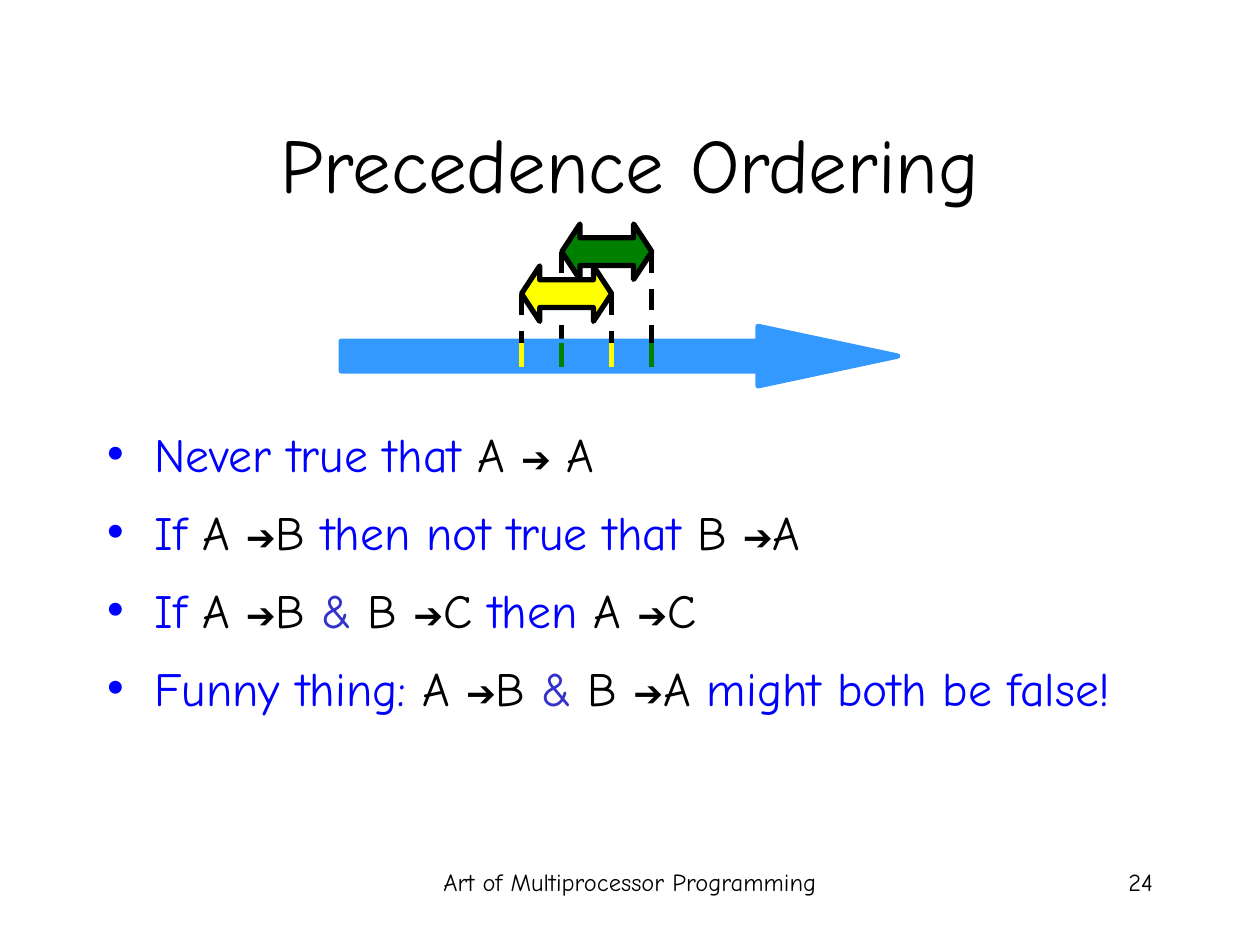
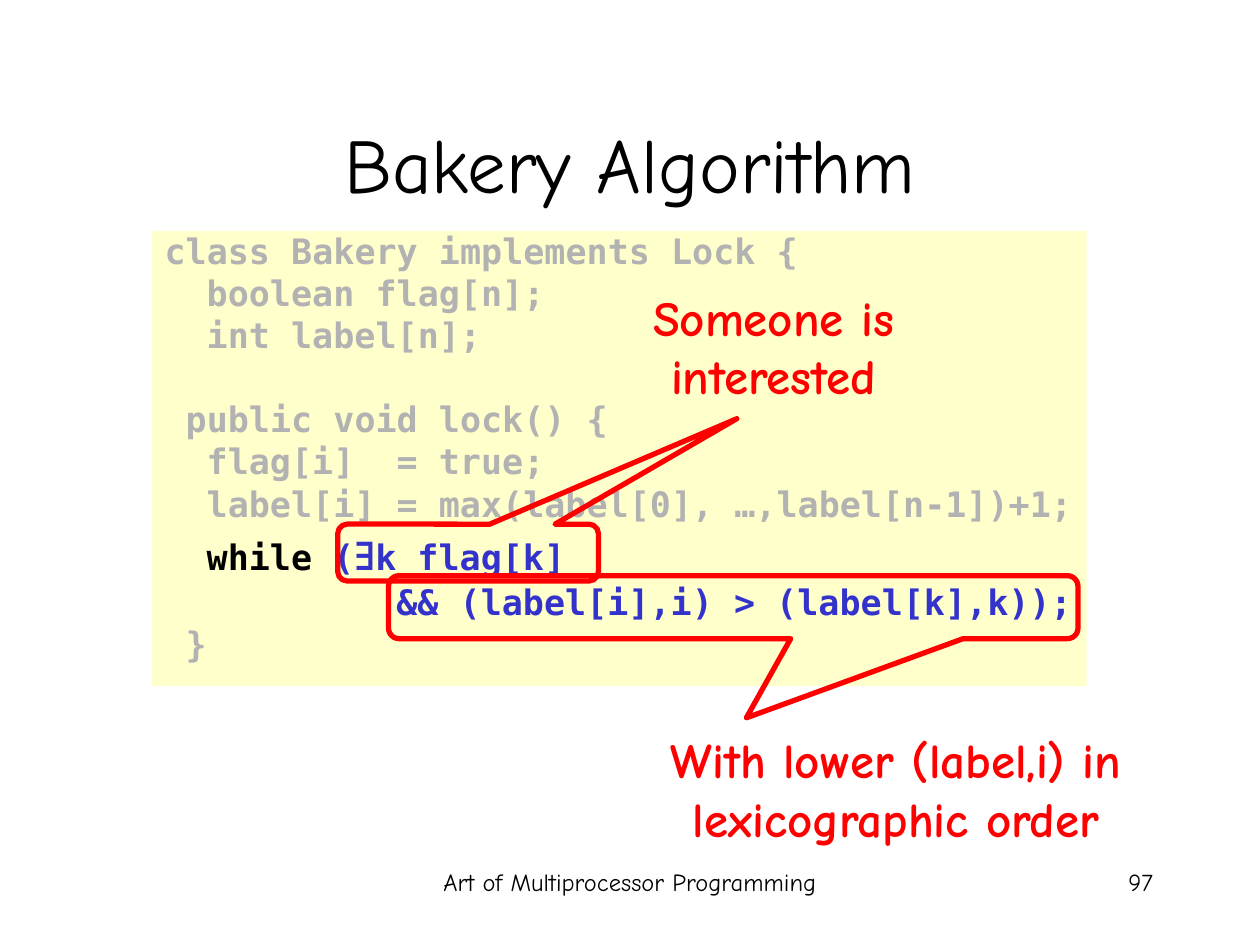
from lxml import etree
from pptx import Presentation
from pptx.dml.color import RGBColor
from pptx.enum.dml import MSO_LINE
from pptx.enum.shapes import MSO_CONNECTOR, MSO_SHAPE
from pptx.enum.text import MSO_ANCHOR, MSO_AUTO_SIZE, PP_ALIGN
from pptx.oxml.ns import qn
from pptx.util import Pt

STRAIGHT = MSO_CONNECTOR.STRAIGHT
DASH = MSO_LINE.DASH
RIGHT_ARROW = MSO_SHAPE.RIGHT_ARROW
DOUBLE_ARROW = MSO_SHAPE.LEFT_RIGHT_ARROW
RECTANGLE = MSO_SHAPE.RECTANGLE
CALLOUT = MSO_SHAPE.ROUNDED_RECTANGULAR_CALLOUT
LEFT, CENTER, RIGHT = PP_ALIGN.LEFT, PP_ALIGN.CENTER, PP_ALIGN.RIGHT
TOP, MIDDLE = MSO_ANCHOR.TOP, MSO_ANCHOR.MIDDLE
NO_AUTOFIT = MSO_AUTO_SIZE.NONE

BLACK = RGBColor(0x00, 0x00, 0x00)
BLUE = RGBColor(0x00, 0x00, 0xFF)
INDIGO = RGBColor(0x33, 0x33, 0xCC)
SKY = RGBColor(0x33, 0x99, 0xFF)
YELLOW = RGBColor(0xFF, 0xFF, 0x00)
GREEN = RGBColor(0x00, 0x80, 0x00)
RED = RGBColor(0xFF, 0x00, 0x00)
GRAY = RGBColor(0xB2, 0xB2, 0xB2)
CREAM = RGBColor(0xFF, 0xFF, 0xCC)

HAND_FONT, CODE_FONT, SYMBOL_FONT = "Comic Neue", "DejaVu Sans Mono", "Arial"
SYMBOLS = {"➔": 20.4, "∃": 28}
STROKE = 3
CODE_CHAR = 12.04
CODE_GAP, CODE_BLANK = 5, 23.6

TITLE_BOX = (54, 48, 612, 90)
FOOTER_BOX = (246, 492, 228, 36)
NUMBER_BOX = (516, 492, 150, 36)
TIMELINE_BOX = (195, 128, 318, 92.5)
STATEMENTS_BOX = (54, 239, 612, 222)
CODE_BOX = (87, 132, 534, 260)

STATEMENTS = [
    [("Never true that ", BLUE), ("A ➔ A", BLACK)],
    [("If ", BLUE), ("A ➔B ", BLACK), ("then not true that ", BLUE), ("B ➔A", BLACK)],
    [("If ", BLUE), ("A ➔B ", BLACK), ("& ", INDIGO), ("B ➔C ", BLACK),
     ("then ", BLUE), ("A ➔C", BLACK)],
    [("Funny thing: ", BLUE), ("A ➔B ", BLACK), ("& ", INDIGO), ("B ➔A ", BLACK),
     ("might both be false!", BLUE)],
]

CODE_LINES = [
    (0, CODE_GAP, [("class Bakery implements Lock {", GRAY)]),
    (2, CODE_GAP, [("boolean flag[n];", GRAY)]),
    (2, CODE_GAP, [("int label[n];", GRAY)]),
    (1, 2 * CODE_GAP + CODE_BLANK - 5, [("public void lock() {", GRAY)]),
    (2, CODE_GAP, [("flag[i]  = true;", GRAY)]),
    (2, CODE_GAP, [("label[i] = max(label[0], …,label[n-1])+1;", GRAY)]),
    (2, CODE_GAP, [("while", BLACK), (" (∃k flag[k]", INDIGO)]),
    (11, CODE_GAP, [("&& (label[i],i) > (label[k],k));", INDIGO)]),
    (1, CODE_GAP, [("}", GRAY)]),
]

REMARKS = [
    ("Someone is interested", (193, 299.5, 149, 32.5), (1.031, -2.354, 0.167),
     (121, -139, 256, 75)),
    ("With lower (label,i) in lexicographic order", (222, 329, 394, 36),
     (0.019, 1.757, 0.167), (133, 84.5, 314, 75)),
]


def points(*lengths):
    """Convert numbers to point lengths."""
    return [Pt(length) for length in lengths]


def style_font(font, name, size, color, bold=False):
    """Set typeface, size, colour and weight."""
    font.name, font.size, font.bold = name, Pt(size), bold
    font.color.rgb = color


def split_symbols(text):
    """Yield the stretches of text between symbols, and the symbols."""
    for symbol in SYMBOLS:
        before, found, after = text.partition(symbol)
        if found:
            yield from (part for part in (before, found, after) if part)
            return
    yield text


def write_phrases(paragraph, phrases, name, size, bold=False):
    """Write coloured phrases, giving symbols their own font and size."""
    parts = [(part, color) for text, color in phrases for part in split_symbols(text)]
    if len(parts) == 1:
        paragraph.text = parts[0][0]
        style_font(paragraph.font, name, size, parts[0][1], bold)
        return
    for text, color in parts:
        run = paragraph.add_run()
        run.text = text
        is_symbol = text in SYMBOLS
        style_font(run.font, SYMBOL_FONT if is_symbol else name,
                   SYMBOLS.get(text, size), color, bold)


def set_indent(paragraph, margin, first_line=0):
    """Set the left margin and first-line indent, and return the properties."""
    properties = paragraph._p.get_or_add_pPr()
    properties.set("marL", str(Pt(margin)))
    properties.set("indent", str(Pt(first_line)))
    return properties


def add_label(slide, box, text, size, color, align, bold=False):
    """Add a wrapped one-paragraph text box."""
    frame = slide.shapes.add_textbox(*points(*box)).text_frame
    frame.word_wrap = True
    frame.paragraphs[0].alignment = align
    write_phrases(frame.paragraphs[0], [(text, color)], HAND_FONT, size, bold)


def add_outlined(slide, preset, box, fill, stroke, adjustments=()):
    """Add a flat preset shape; None leaves out its fill or line."""
    shape = slide.shapes.add_shape(preset, *points(*box))
    shape.shadow.inherit = False
    for paint, color in ((shape.fill, fill), (shape.line.fill, stroke)):
        if color is None:
            paint.background()
        else:
            paint.solid()
            paint.fore_color.rgb = color
    if stroke is not None:
        shape.line.width = Pt(STROKE)
    for index, value in enumerate(adjustments):
        shape.adjustments[index] = value
    return shape


def place_placeholder(placeholder, box, anchor):
    """Move a placeholder to its box and return its text frame."""
    placeholder.left, placeholder.top, placeholder.width, placeholder.height = points(*box)
    frame = placeholder.text_frame
    frame.auto_size = NO_AUTOFIT
    frame.word_wrap = True
    frame.vertical_anchor = anchor
    return frame


def start_slide(deck, layout_index, title, number):
    """Add a slide with the shared title and footer."""
    slide = deck.slides.add_slide(deck.slide_layouts[layout_index])
    heading = place_placeholder(slide.shapes.title, TITLE_BOX, MIDDLE).paragraphs[0]
    heading.alignment = CENTER
    write_phrases(heading, [(title, BLACK)], HAND_FONT, 44)
    add_label(slide, FOOTER_BOX, "Art of Multiprocessor Programming", 14, BLACK, CENTER)
    add_label(slide, NUMBER_BOX, str(number), 14, BLACK, RIGHT)
    return slide


def add_upright(slide, x, top, bottom, color, dashed=False):
    """Add a vertical line."""
    upright = slide.shapes.add_connector(STRAIGHT, *points(x, top, x, bottom))
    upright.line.color.rgb = color
    upright.line.width = Pt(STROKE)
    if dashed:
        upright.line.dash_style = DASH
    etree.SubElement(upright._element.spPr, qn("a:effectLst"))


def draw_timeline(slide, box):
    """Draw two overlapping intervals marked on a time arrow."""
    left, top, width, _ = box
    interval_width, interval_height = 51.5, 31.7
    tick_top, tick_bottom = top + 68, top + 82
    yellow_left, green_left = left + 103, left + 126
    yellow_top, green_top = top + 24, top
    green_middle = green_top + interval_height / 2
    yellow_middle = yellow_top + interval_height / 2
    green_right, yellow_right = green_left + interval_width, yellow_left + interval_width

    add_upright(slide, green_left, green_middle, tick_bottom, BLACK, dashed=True)
    add_outlined(slide, RIGHT_ARROW, (left, top + 58.5, width, 34), SKY, SKY, (0.5, 2.347))
    for x in (yellow_left, yellow_right):
        add_upright(slide, x, yellow_middle, tick_top, BLACK, dashed=True)
    add_upright(slide, green_right, green_middle, tick_bottom, BLACK, dashed=True)
    for x, y, color in ((yellow_left, yellow_top, YELLOW), (green_left, green_top, GREEN)):
        add_outlined(slide, DOUBLE_ARROW, (x, y, interval_width, interval_height),
                     color, BLACK, (0.5, 0.329))
        for edge in (x, x + interval_width):
            add_upright(slide, edge, tick_top, tick_bottom, color)


def write_statements(slide, box):
    """Fill the body placeholder with the bulleted statements."""
    frame = place_placeholder(slide.placeholders[1], box, TOP)
    for index, phrases in enumerate(STATEMENTS):
        statement = frame.add_paragraph() if index else frame.paragraphs[0]
        statement.space_before = Pt(12)
        write_phrases(statement, phrases, HAND_FONT, 27.2)
        properties = set_indent(statement, 27, -27)
        bullet_color = etree.SubElement(properties, qn("a:buClr"))
        etree.SubElement(bullet_color, qn("a:srgbClr"), val=str(BLUE))
        etree.SubElement(properties, qn("a:buChar"), char="•")


def write_code(slide, box):
    """Add the code panel."""
    frame = add_outlined(slide, RECTANGLE, box, CREAM, None).text_frame
    frame.word_wrap = True
    frame.vertical_anchor = TOP
    frame.margin_right = 0
    for index, (indent, gap, phrases) in enumerate(CODE_LINES):
        line = frame.add_paragraph() if index else frame.paragraphs[0]
        line.alignment = LEFT
        line.line_spacing = 0.8
        line.space_before = Pt(gap)
        set_indent(line, indent * CODE_CHAR)
        write_phrases(line, phrases, CODE_FONT, 20, bold=True)


def add_remark(slide, box, text, adjustments, label_offset):
    """Ring a piece of code with a callout and label it."""
    add_outlined(slide, CALLOUT, box, None, RED, adjustments)
    dx, dy, width, height = label_offset
    add_label(slide, (box[0] + dx, box[1] + dy, width, height), text, 28, RED, CENTER, bold=True)


def build_precedence(deck):
    """Build the precedence ordering slide."""
    slide = start_slide(deck, 1, "Precedence Ordering", 24)
    draw_timeline(slide, TIMELINE_BOX)
    write_statements(slide, STATEMENTS_BOX)


def build_bakery(deck):
    """Build the bakery algorithm slide."""
    slide = start_slide(deck, 5, "Bakery Algorithm", 97)
    write_code(slide, CODE_BOX)
    for text, box, adjustments, label_offset in REMARKS:
        add_remark(slide, box, text, adjustments, label_offset)


def main():
    """Build and save the deck."""
    deck = Presentation()
    deck.slide_width, deck.slide_height = points(720, 540)
    build_precedence(deck)
    build_bakery(deck)
    deck.save("out.pptx")


if __name__ == "__main__":
    main()
